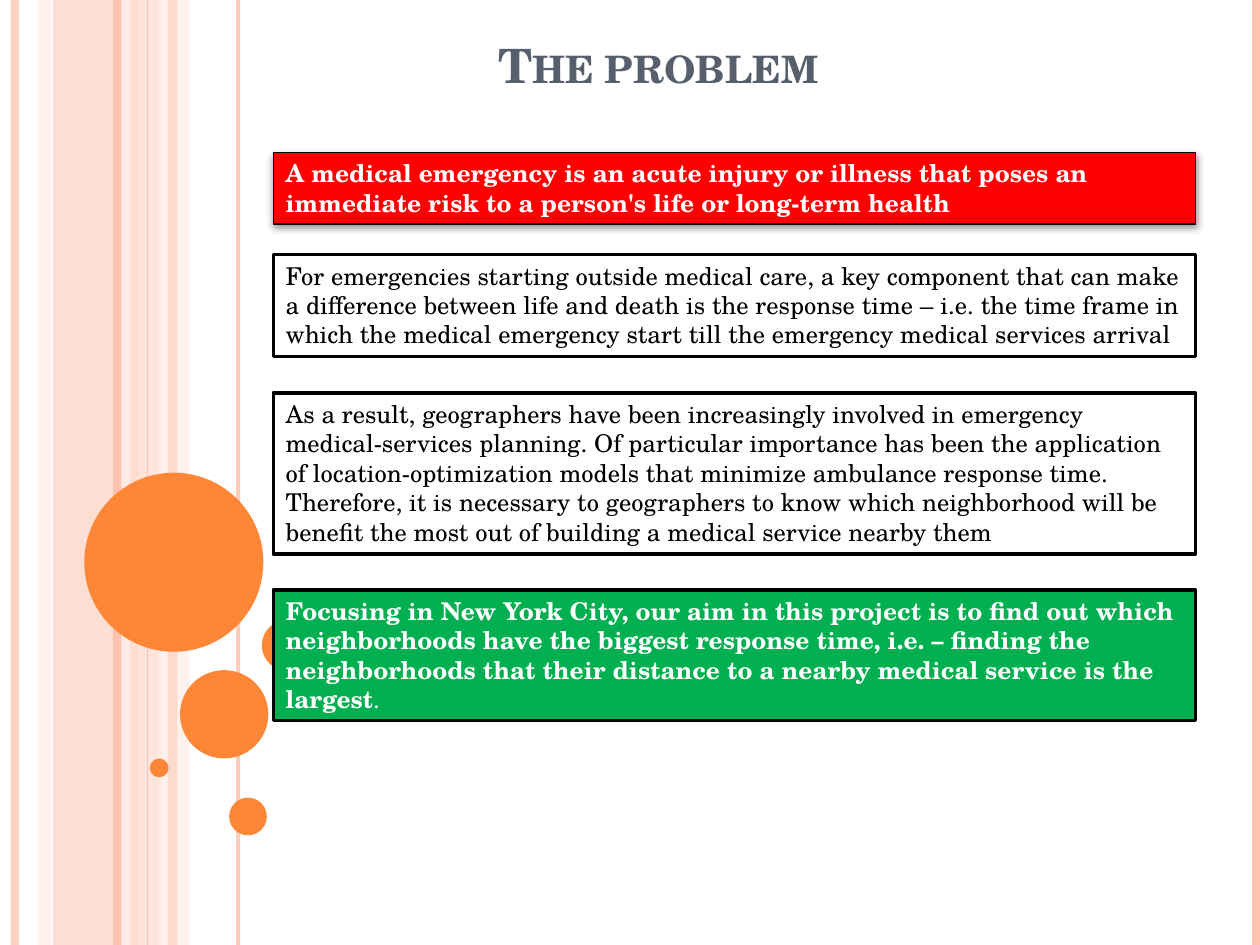
from lxml import etree
from pptx import Presentation
from pptx import util as u
from pptx.dml.color import RGBColor
from pptx.enum import shapes, text
from pptx.oxml import ns

FONT = "TeX Gyre Schola"
PEACH = RGBColor(0xFE, 0xC3, 0xAE)
PALE = RGBColor(0xFF, 0xD9, 0xCE)
BLUSH = RGBColor(0xFF, 0xED, 0xE8)
ORANGE = RGBColor(0xFE, 0x86, 0x37)
SLATE = RGBColor(0x57, 0x5F, 0x6D)
RED = RGBColor(0xFF, 0, 0)
GREEN = RGBColor(0, 0xB0, 0x50)
WHITE = RGBColor(0xFF, 0xFF, 0xFF)
BLACK = RGBColor(0, 0, 0)

# left, width, colour, opacity in percent
BANDS = [(1.07, 1.7, PEACH, 54), (0.76, 0.28, PALE, 36),
         (2.74, 0.51, PALE, 70), (3.18, 0.64, BLUSH, 71)]
FRONT_BAND = [(3.38, 0.2, PEACH, 51)]
# x, weight in points, colour, opacity in percent
RULES = [(0.3, 4.5, PEACH, 73), (2.54, 4.5, BLUSH, 83), (2.36, 4.5, PEACH, 100),
         (4.8, 2.25, PEACH, 82), (2.97, 0.75, PEACH, 100), (25.32, 4.5, PEACH, 100)]
# left, top, diameter
BUBBLES = [(1.7, 9.53, 3.61), (3.63, 13.51, 1.78), (3.02, 15.29, 0.38),
           (4.62, 16.08, 0.76), (5.28, 12.5, 1.02)]
# top, height, fill, text colour, border in points, spans of (text, bold)
STATEMENTS = [
    (0, 1.45, RED, WHITE, 0.75, [
        ("A medical emergency is an acute injury or illness that poses an immediate "
         "risk to a person's life or long-term health", True)]),
    (2.06, 2.06, WHITE, BLACK, 2, [
        ("For emergencies starting outside medical care, a key component that can make "
         "a difference between life and death is the response time – i.e. the time "
         "frame in which the medical emergency start till the emergency medical "
         "services arrival", False)]),
    (4.85, 3.25, WHITE, BLACK, 2, [
        ("As a result, geographers have been increasingly involved in emergency "
         "medical-services planning. Of particular importance has been the application "
         "of location-optimization models that minimize ambulance response time. "
         "Therefore, it is necessary to geographers to know which neighborhood will be "
         "benefit the most out of building a medical service nearby them", False)]),
    (8.82, 2.64, GREEN, WHITE, 2, [
        ("Focusing in New York City, our aim in this project is to find out which "
         "neighborhoods have the biggest response time, i.e. – finding the "
         "neighborhoods that their distance to a nearby medical service is the "
         "largest", True), (".", False)]),
]


def set_opacity(parent, percent):
    """Make the solid colour inside an XML element partly transparent."""
    if percent < 100:
        colour = parent.find(".//" + ns.qn("a:srgbClr"))
        etree.SubElement(colour, ns.qn("a:alpha"), val=str(percent * 1000))


def add_plain_shape(page, kind, left, top, width, height, fill):
    """Add a filled shape without border or shadow; lengths in cm."""
    shape = page.shapes.add_shape(kind, u.Cm(left), u.Cm(top), u.Cm(width), u.Cm(height))
    shape.shadow.inherit = False
    shape.fill.solid()
    shape.fill.fore_color.rgb = fill
    shape.line.fill.background()
    return shape


def add_bands(page, bands, height):
    """Draw translucent full-height bands."""
    for left, width, colour, opacity in bands:
        band = add_plain_shape(page, shapes.MSO_SHAPE.RECTANGLE, left, 0, width, height, colour)
        set_opacity(band.fill._xPr, opacity)


def add_rules(page, height):
    """Draw the full-height vertical lines."""
    for x, weight, colour, opacity in RULES:
        rule = page.shapes.add_connector(shapes.MSO_CONNECTOR.STRAIGHT,
                                         u.Cm(x), 0, u.Cm(x), u.Cm(height))
        rule.line.width = u.Pt(weight)
        rule.line.color.rgb = colour
        properties = rule._element.spPr
        set_opacity(properties, opacity)
        etree.SubElement(properties, ns.qn("a:effectLst"))


def add_side_decoration(page, height):
    """Draw the striped side panel and its bubbles."""
    add_bands(page, BANDS, height)
    add_rules(page, height)
    add_bands(page, FRONT_BAND, height)
    for left, top, size in BUBBLES:
        add_plain_shape(page, shapes.MSO_SHAPE.OVAL, left, top, size, size, ORANGE)


def format_span(span, size, colour, bold):
    """Set the font of one run."""
    span.font.name = FONT
    span.font.size = u.Pt(size)
    span.font.color.rgb = colour
    span.font.bold = bold


def set_title(page, left, top, width, height):
    """Place and format the title in small capitals."""
    title = page.shapes.title
    title.left, title.top = u.Cm(left), u.Cm(top)
    title.width, title.height = u.Cm(width), u.Cm(height)
    frame = title.text_frame
    frame.text = "The problem"
    frame.auto_size = text.MSO_AUTO_SIZE.NONE
    frame.vertical_anchor = text.MSO_ANCHOR.BOTTOM
    para = frame.paragraphs[0]
    para.alignment = text.PP_ALIGN.CENTER
    span = para.runs[0]
    format_span(span, 27, SLATE, True)
    span.font._element.set("cap", "small")


def add_soft_shadow(shape):
    """Give a shape a small shadow straight below it."""
    effects = shape._element.spPr.find(ns.qn("a:effectLst"))
    shadow = etree.SubElement(effects, ns.qn("a:outerShdw"), blurRad=str(u.Pt(4)),
                              dist=str(u.Pt(1.6)), dir="5400000", rotWithShape="0")
    colour = etree.SubElement(shadow, ns.qn("a:srgbClr"), val=str(BLACK))
    etree.SubElement(colour, ns.qn("a:alpha"), val="42000")


def add_statements(page, left, top, width):
    """Stack the bordered statement boxes below the given corner."""
    for offset, height, fill, colour, border, spans in STATEMENTS:
        box = add_plain_shape(page, shapes.MSO_SHAPE.RECTANGLE,
                              left, top + offset, width, height, fill)
        box.line.color.rgb = BLACK
        box.line.width = u.Pt(border)
        if fill == RED:
            add_soft_shadow(box)
        frame = box.text_frame
        frame.word_wrap = True
        frame.auto_size = text.MSO_AUTO_SIZE.SHAPE_TO_FIT_TEXT
        frame.vertical_anchor = text.MSO_ANCHOR.TOP
        para = frame.paragraphs[0]
        para.alignment = text.PP_ALIGN.LEFT
        for words, bold in spans:
            span = para.add_run()
            span.text = words
            format_span(span, 14, colour, bold)


def main():
    """Build the deck with its one slide."""
    deck = Presentation()
    deck.slide_width, deck.slide_height = u.Cm(25.4), u.Cm(19.05)
    page = deck.slides.add_slide(deck.slide_layouts[5])
    add_side_decoration(page, 19.05)
    set_title(page, 4.7, 0.74, 17.15, 1.27)
    add_statements(page, 5.51, 3.07, 18.59)
    deck.save("out.pptx")


main()
